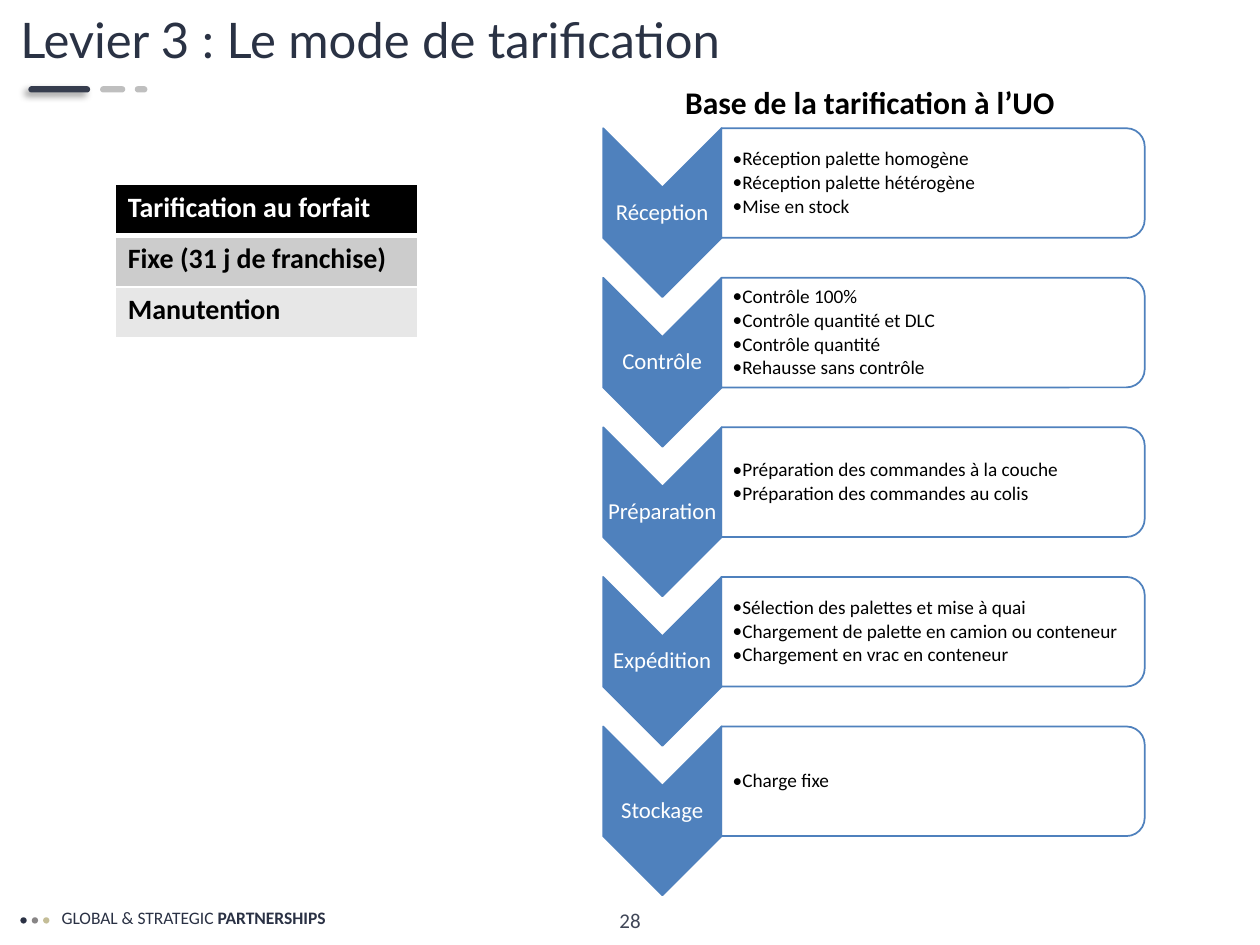
from lxml import etree
from pptx import Presentation
from pptx import util as u
from pptx.dml.color import RGBColor
from pptx.enum import shapes, text
from pptx.oxml import parse_xml
from pptx.oxml.ns import nsdecls, qn

# Grid of 100 columns by 75 rows on the slide
COLS, ROWS = 100, 75
W, H = u.Inches(10), u.Inches(7.5)
C = {"navy": "2A3144", "title": "2A3244", "bar": "363D4E", "number": "404657",
     "grey": "888586", "silver": "BFBFBF", "sand": "C4BD97", "blue": "4F81BD",
     "black": "000000", "white": "FFFFFF", "mid": "CCCCCC", "pale": "E7E7E7"}
G = shapes.MSO_SHAPE
MIDDLE, CENTER = text.MSO_ANCHOR.MIDDLE, text.PP_ALIGN.CENTER

TARIFFS = [("Tarification au forfait", "black", "white"),
           ("Fixe (31 j de franchise)", "mid", "black"),
           ("Manutention", "pale", "black")]
STEPS = [
    ("Réception", ["Réception palette homogène", "Réception palette hétérogène",
                   "Mise en stock"]),
    ("Contrôle", ["Contrôle 100%", "Contrôle quantité et DLC",
                  "Contrôle quantité", "Rehausse sans contrôle"]),
    ("Préparation", ["Préparation des commandes à la couche",
                     "Préparation des commandes au colis"]),
    ("Expédition", ["Sélection des palettes et mise à quai",
                    "Chargement de palette en camion ou conteneur",
                    "Chargement en vrac en conteneur"]),
    ("Stockage", ["Charge fixe"]),
]
STEP_TOP, STEP_PITCH = 10.18, 11.87


def grid(l, t, w, h):
    return (round(l * W / COLS), round(t * H / ROWS),
            round(w * W / COLS), round(h * H / ROWS))


def rgb(name):
    return RGBColor.from_string(C[name])


def set_attrs(obj, values):
    for name, value in values.items():
        setattr(obj, name, value)


def add_run(p, words, size, color, bold=False, font="Calibri"):
    r = p.add_run()
    r.text = words
    set_attrs(r.font, {"name": font, "size": u.Pt(size), "bold": bold})
    r.font.color.rgb = rgb(color)


def add_text(s, box, frame=None, para=None):
    """Add a text box and return its first paragraph."""
    tf = s.shapes.add_textbox(*grid(*box)).text_frame
    set_attrs(tf, {"word_wrap": True, **(frame or {})})
    p = tf.paragraphs[0]
    set_attrs(p, para or {})
    return p


def add_shape(s, kind, box, fill, line=None):
    sp = s.shapes.add_shape(kind, *grid(*box))
    sp.shadow.inherit = False
    sp.fill.solid()
    sp.fill.fore_color.rgb = rgb(fill)
    if line:
        sp.line.color.rgb = rgb(line)
        sp.line.width = u.Pt(1)
    else:
        sp.line.fill.background()
    return sp


def add_turned(s, kind, box, fill, line):
    """Add a shape turned by 90 degrees that covers the given box."""
    l, t, w, h = box
    sp = add_shape(s, kind, (l + (w - h) / 2, t + (h - w) / 2, h, w), fill, line)
    sp.rotation = 90
    return sp


def add_bullet(p):
    pPr = p._p.get_or_add_pPr()
    pPr.set("marL", str(u.Inches(0.06)))
    pPr.set("indent", str(-u.Inches(0.06)))
    etree.SubElement(pPr, qn("a:buFont")).set("typeface", "Calibri")
    etree.SubElement(pPr, qn("a:buChar")).set("char", "•")


def add_step(s, top, label, items):
    # Chevron and its label
    tight = {f"margin_{side}": u.Inches(0.01)
             for side in ("left", "top", "right", "bottom")}
    frame = {"vertical_anchor": MIDDLE, **tight}
    add_turned(s, G.CHEVRON, (47.87, top, 9.4, 13.4), "blue", "blue")
    p = add_text(s, (47.85, top + 4.7, 9.4, 4), frame,
                 {"alignment": CENTER, "line_spacing": 0.9,
                  "space_after": u.Pt(4.55)})
    add_run(p, label, 13, "white")

    # Panel and its bullets
    panel = add_turned(s, G.ROUND_2_SAME_RECTANGLE, (57.25, top, 33.6, 8.7),
                       "white", "blue")
    color = panel.fill._xPr.find(qn("a:solidFill"))[0]
    etree.SubElement(color, qn("a:alpha")).set("val", "90000")
    p = add_text(s, (57.25, top + 0.42, 33.2, 7.9),
                 {**frame, "margin_left": u.Inches(0.09)})
    tf = p._parent
    for i, item in enumerate(items):
        p = tf.add_paragraph() if i else p
        set_attrs(p, {"level": 1, "line_spacing": 0.9, "space_after": u.Pt(1.65)})
        add_bullet(p)
        add_run(p, item, 11, "black")


def add_borders(cell, widths):
    tcPr = cell._tc.get_or_add_tcPr()
    for i, (side, width) in enumerate(widths.items()):
        tcPr.insert(i, parse_xml(
            f'<a:ln{side} {nsdecls("a")} w="{u.Pt(width)}"><a:solidFill>'
            f'<a:srgbClr val="{C["white"]}"/></a:solidFill></a:ln{side}>'))


def add_tariffs(s):
    table = s.shapes.add_table(len(TARIFFS), 1, *grid(9.15, 14.65, 24, 12.2)).table
    for i, (words, fill, color) in enumerate(TARIFFS):
        cell = table.cell(i, 0)
        cell.fill.solid()
        cell.fill.fore_color.rgb = rgb(fill)
        add_borders(cell, {"L": 1, "R": 1, "T": 3 if i == 1 else 1,
                           "B": 3 if i == 0 else 1})
        add_run(cell.text_frame.paragraphs[0], words, 16, color, True)


def add_footer(s):
    p = add_text(s, (3.9, 71.5, 23.5, 2.7))
    add_run(p, "GLOBAL & STRATEGIC ", 10, "navy")
    add_run(p, "PARTNERSHIPS", 10, "navy", True)
    for i, color in enumerate(("navy", "grey", "sand")):
        add_shape(s, G.OVAL, (1.62 + 0.9 * i, 72.8, 0.5, 0.5), color)
    p = add_text(s, (38.75, 71.05, 22.5, 4), {"vertical_anchor": MIDDLE},
                 {"alignment": CENTER})
    add_run(p, "28", 12, "number")


def add_title(s):
    # Accent bars under the title, the first with a soft shadow
    for left, width, color in ((2.25, 4.9, "bar"), (7.95, 2, "silver"), (10.7, 1, "silver")):
        sp = add_shape(s, G.ROUNDED_RECTANGLE, (left, 6.84, width, 0.5), color)
        sp.adjustments[0] = 0.5
        if color == "bar":
            sp._element.spPr.find(qn("a:effectLst")).append(parse_xml(
                f'<a:outerShdw {nsdecls("a")} blurRad="{u.Pt(4)}" dist="{u.Pt(3)}" '
                f'dir="{135 * 60000}" algn="tr" rotWithShape="0"><a:srgbClr val="{C["black"]}">'
                '<a:alpha val="40000"/></a:srgbClr></a:outerShdw>'))
    p = add_text(s, (0.63, 0.8, 105.6, 6), para={"line_spacing": 0.9})
    add_run(p, "Levier 3 : Le mode de tarification", 28, "title", font="Lato")


def main():
    prs = Presentation()
    set_attrs(prs, {"slide_width": W, "slide_height": H})
    s = prs.slides.add_slide(prs.slide_layouts[6])
    add_footer(s)
    add_title(s)
    add_tariffs(s)
    for i, (label, items) in enumerate(STEPS):
        add_step(s, STEP_TOP + i * STEP_PITCH, label, items)
    # Heading above the steps
    p = add_text(s, (53.4, 6.1, 31.6, 4), {"word_wrap": False})
    add_run(p, "Base de la tarification à l’UO", 18, "black", True)
    prs.save("out.pptx")


if __name__ == "__main__":
    main()
